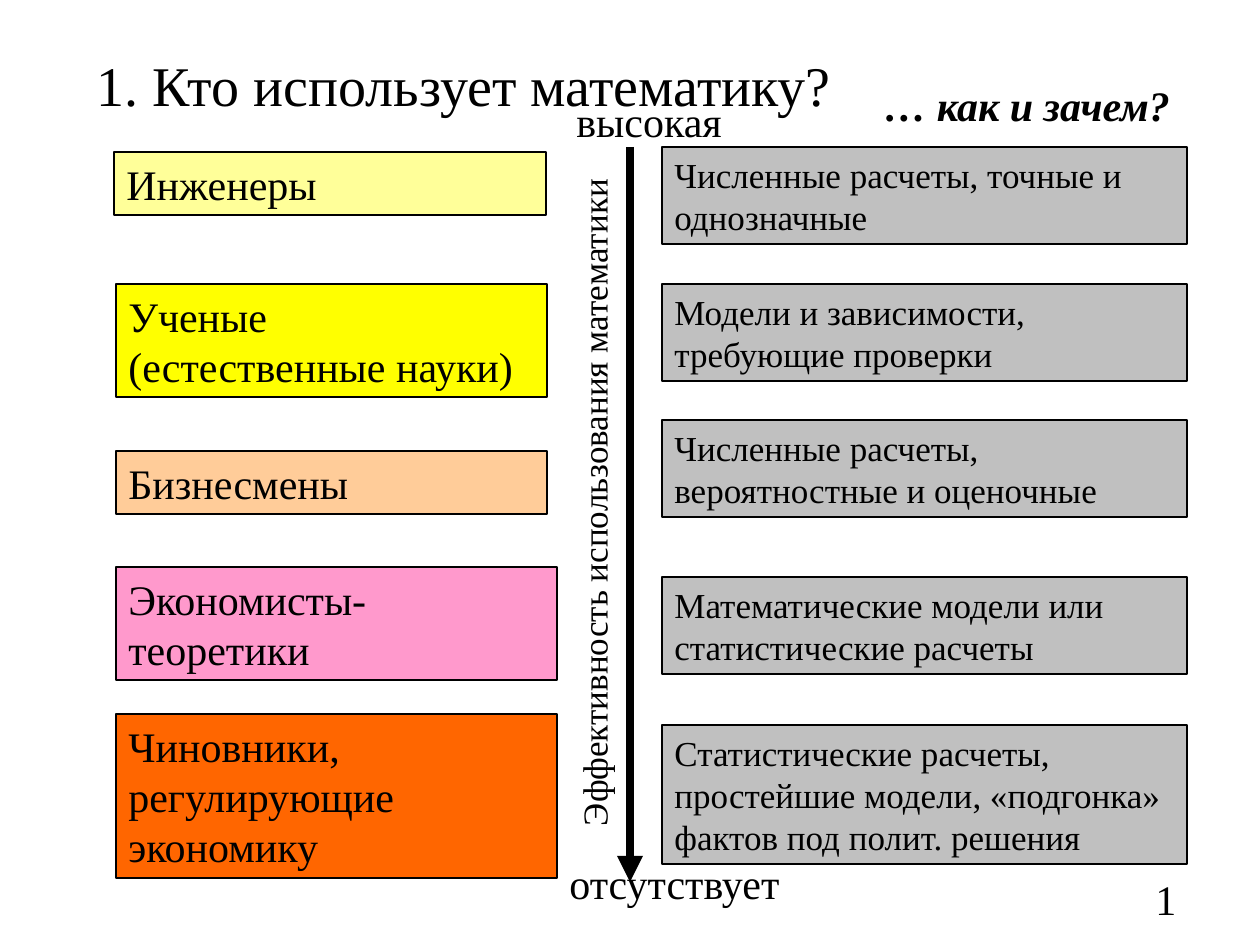
from dataclasses import dataclass
from lxml.etree import SubElement
from pptx import Presentation
from pptx.dml.color import RGBColor as Rgb
from pptx.enum.shapes import MSO_CONNECTOR as Link, MSO_SHAPE as Form
from pptx.enum.text import MSO_ANCHOR as Anchor, MSO_AUTO_SIZE as Fit, PP_ALIGN as Align
from pptx.oxml.ns import qn
from pptx.util import Emu, Pt


@dataclass(frozen=True)
class Theme:
    """Hold the colours, font and type sizes of the slide."""
    font: str = "Times New Roman"
    ink: str = "000000"
    grey: str = "C0C0C0"
    lemon: str = "FFFF99"
    yellow: str = "FFFF00"
    peach: str = "FFCC99"
    pink: str = "FF99CC"
    orange: str = "FF6600"
    title: int = 32
    label: int = 24
    note: int = 20


THEME = Theme()
SCALE = 914400 / 126


def px(n):
    """Turn pixels into EMU."""
    return Emu(round(n * SCALE))


def color(code):
    """Make a colour from its hex code."""
    return Rgb.from_string(code)


def write(shape, text, size=THEME.label, bold=False, italic=False,
          wrap=True, anchor=Anchor.TOP, fit=Fit.SHAPE_TO_FIT_TEXT):
    """Put formatted text into a shape."""
    frame = shape.text_frame
    frame.text = text
    frame.word_wrap = wrap
    frame.auto_size = fit
    frame.vertical_anchor = anchor
    para = frame.paragraphs[0]
    para.alignment = Align.LEFT
    font = para.runs[0].font
    font.name, font.size = THEME.font, Pt(size)
    font.bold, font.italic = bold, italic
    font.color.rgb = color(THEME.ink)


def head(slide, text, x, y, w, h):
    """Place and fill the title."""
    title = slide.shapes.title
    title.left, title.top, title.width, title.height = map(px, (x, y, w, h))
    write(title, text, size=THEME.title, anchor=Anchor.MIDDLE, fit=Fit.NONE)


def box(slide, text, x, y, w, h, fill, size=THEME.label):
    """Draw an outlined box with text."""
    shape = slide.shapes.add_shape(Form.RECTANGLE, *map(px, (x, y, w, h)))
    shape.shadow.inherit = False
    shape.fill.solid()
    shape.fill.fore_color.rgb = color(fill)
    shape.line.color.rgb = color(THEME.ink)
    shape.line.width = Pt(0.75)
    write(shape, text, size=size)


def label(slide, text, x, y, w, h, turn=0, **style):
    """Add a free label on one line."""
    shape = slide.shapes.add_textbox(*map(px, (x, y, w, h)))
    shape.rotation = turn
    write(shape, text, wrap=False, **style)


def arrow(slide, x, top, end):
    """Draw the thick arrow that points down."""
    line = slide.shapes.add_connector(Link.STRAIGHT, *map(px, (x, top, x, end)))
    line.line.color.rgb = color(THEME.ink)
    line.line.width = Pt(5)
    SubElement(line.line._get_or_add_ln(), qn("a:tailEnd"), type="triangle")
    SubElement(line._element.spPr, qn("a:effectLst"))


def main():
    """Build and save the slide."""
    deck = Presentation()
    deck.slide_width, deck.slide_height = px(1260), px(945)
    slide = deck.slides.add_slide(deck.slide_layouts[5])
    head(slide, "1. Кто использует математику?", 84, 42, 1071, 84)

    users = [
        ("Инженеры", 114, 152, 432, 63, THEME.lemon),
        ("Ученые (естественные науки)", 116, 284, 431, 113, THEME.yellow),
        ("Бизнесмены", 116, 451, 431, 63, THEME.peach),
        ("Экономисты-теоретики", 116, 567, 441, 113, THEME.pink),
        ("Чиновники, регулирующие экономику", 116, 714, 441, 164, THEME.orange),
    ]
    for user in users:
        box(slide, *user)

    uses = [
        ("Численные расчеты, точные и однозначные", 147, 97),
        ("Модели и зависимости, требующие проверки", 284, 97),
        ("Численные расчеты, вероятностные и оценочные", 420, 97),
        ("Математические модели или статистические расчеты", 577, 97),
        ("Статистические расчеты, простейшие модели, «подгонка» "
         "фактов под полит. решения", 725, 139),
    ]
    for text, y, h in uses:
        box(slide, text, 662, y, 525, h, THEME.grey, size=THEME.note)

    arrow(slide, 630, 147, 882)
    label(slide, "Эффективность использования математики", 243, 460, 702, 55,
          turn=270, size=THEME.note)
    label(slide, "… как и зачем?", 872, 73, 314, 63, bold=True, italic=True)
    label(slide, "высокая", 564, 89, 171, 63)
    label(slide, "отсутствует", 557, 851, 237, 63)
    label(slide, "1", 1143, 867, 45, 63)
    deck.save("out.pptx")


if __name__ == "__main__":
    main()
